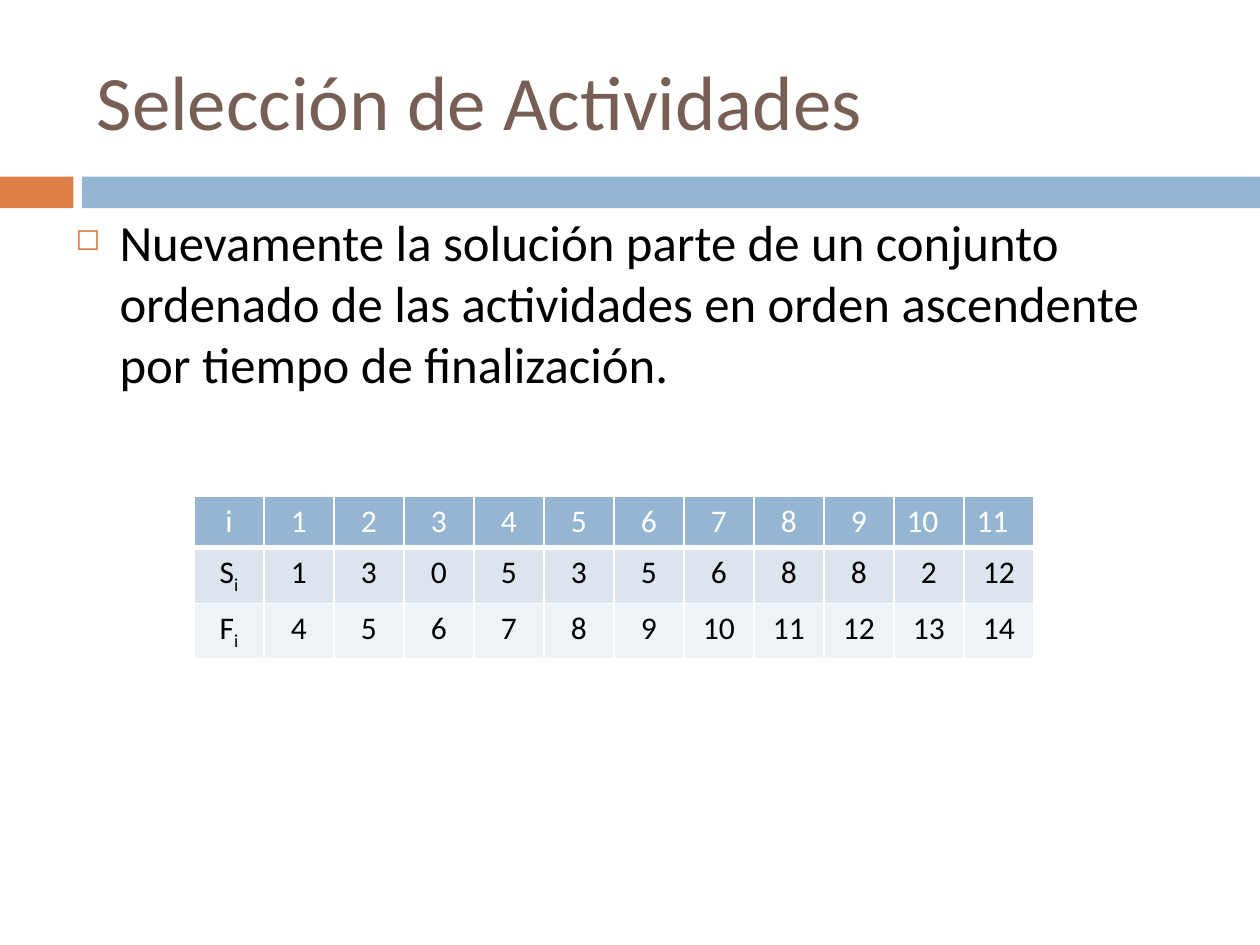
from lxml.etree import SubElement
from pptx import Presentation
from pptx.dml.color import RGBColor
from pptx.enum.shapes import MSO_SHAPE
from pptx.enum.text import MSO_ANCHOR, PP_ALIGN
from pptx.oxml.ns import qn
from pptx.util import Cm, Pt

ORANGE = RGBColor(0xDD, 0x80, 0x47)
BLUE = RGBColor(0x94, 0xB6, 0xD2)
BROWN = RGBColor(0x77, 0x5F, 0x55)
BLACK = RGBColor(0, 0, 0)
WHITE = RGBColor(0xFF, 0xFF, 0xFF)
PALE = RGBColor(0xDC, 0xE5, 0xEE)
LIGHT = RGBColor(0xEE, 0xF3, 0xF7)

STARTS = [1, 3, 0, 5, 3, 5, 6, 8, 8, 2, 12]
ENDS = range(4, 15)


class Deck:
    """Draws styled elements on the current slide."""

    font = "Calibri"

    def __init__(self):
        self.file = Presentation()
        self.file.slide_width, self.file.slide_height = Cm(25.4), Cm(19.05)
        self.slide = self.file.slides.add_slide(self.file.slide_layouts[6])

    def bar(self, left, top, width, height, color):
        shape = self.slide.shapes.add_shape(
            MSO_SHAPE.RECTANGLE, Cm(left), Cm(top), Cm(width), Cm(height))
        shape.shadow.inherit = False
        shape.fill.solid()
        shape.fill.fore_color.rgb = color
        shape.line.fill.background()

    def run(self, para, text, size, color, base=0):
        run = para.add_run()
        run.text = text
        run.font.name, run.font.size = self.font, Pt(size)
        run.font.bold = False
        run.font.color.rgb = color
        if base:
            run.font._element.set("baseline", str(base * 1000))

    def text(self, left, top, width, height, words, size, color,
             anchor=MSO_ANCHOR.TOP):
        box = self.slide.shapes.add_textbox(
            Cm(left), Cm(top), Cm(width), Cm(height))
        frame = box.text_frame
        frame.word_wrap = True
        frame.vertical_anchor = anchor
        para = frame.paragraphs[0]
        self.run(para, words, size, color)
        return para

    def bullet(self, para, mark, color, scale, indent):
        para.space_before = Pt(7)
        props = para._p.get_or_add_pPr()
        props.set("marL", str(Cm(indent)))
        props.set("indent", str(-Cm(indent)))
        tint = SubElement(props, qn("a:buClr"))
        SubElement(tint, qn("a:srgbClr"), val=str(color))
        SubElement(props, qn("a:buSzPct"), val=str(scale * 1000))
        SubElement(props, qn("a:buChar"), char=mark)

    def border(self, cell, bottom):
        props = cell._tc.get_or_add_tcPr()
        for side, width in zip("LRTB", (1, 1, 1, bottom)):
            line = SubElement(props, qn(f"a:ln{side}"), w=str(Pt(width)))
            fill = SubElement(line, qn("a:solidFill"))
            SubElement(fill, qn("a:srgbClr"), val=str(WHITE))

    def cell(self, cell, parts, fill, color, align, bottom):
        self.border(cell, bottom)
        cell.fill.solid()
        cell.fill.fore_color.rgb = fill
        para = cell.text_frame.paragraphs[0]
        para.alignment = align
        for part, base in zip(parts, (0, -25)):
            self.run(para, part, 18, color, base)

    def table(self, left, top, width, height, rows, fills):
        count = len(rows[0])
        grid = self.slide.shapes.add_table(
            len(rows), count, Cm(left), Cm(top), Cm(width), Cm(height)).table
        for col in grid.columns:
            col.width = Cm(width / count)
        for r, (row, fill) in enumerate(zip(rows, fills)):
            head = r == 0
            for c, parts in enumerate(row):
                left_side = head and c > 9
                self.cell(grid.cell(r, c), parts, fill,
                          WHITE if head else BLACK,
                          PP_ALIGN.LEFT if left_side else PP_ALIGN.CENTER,
                          3 if head else 1)


def main():
    deck = Deck()
    deck.bar(0, 3.56, 1.48, 0.64, ORANGE)
    deck.bar(1.65, 3.56, 23.75, 0.64, BLUE)
    deck.text(1.7, 0.64, 22.66, 2.74, "Selección de Actividades", 44, BROWN,
              MSO_ANCHOR.MIDDLE)
    para = deck.text(
        1.27, 4.12, 22.86, 5.61,
        "Nuevamente la solución parte de un conjunto ordenado de las "
        "actividades en orden ascendente por tiempo de finalización.",
        29, BLACK)
    deck.bullet(para, "◻", ORANGE, 60, 0.89)
    heads = [("i",), ("S", "i"), ("F", "i")]
    series = [range(1, 12), STARTS, ENDS]
    rows = [[head] + [(str(n),) for n in nums]
            for head, nums in zip(heads, series)]
    deck.table(3.91, 10.01, 16.94, 3.09, rows, [BLUE, PALE, LIGHT])
    deck.file.save("out.pptx")


if __name__ == "__main__":
    main()
